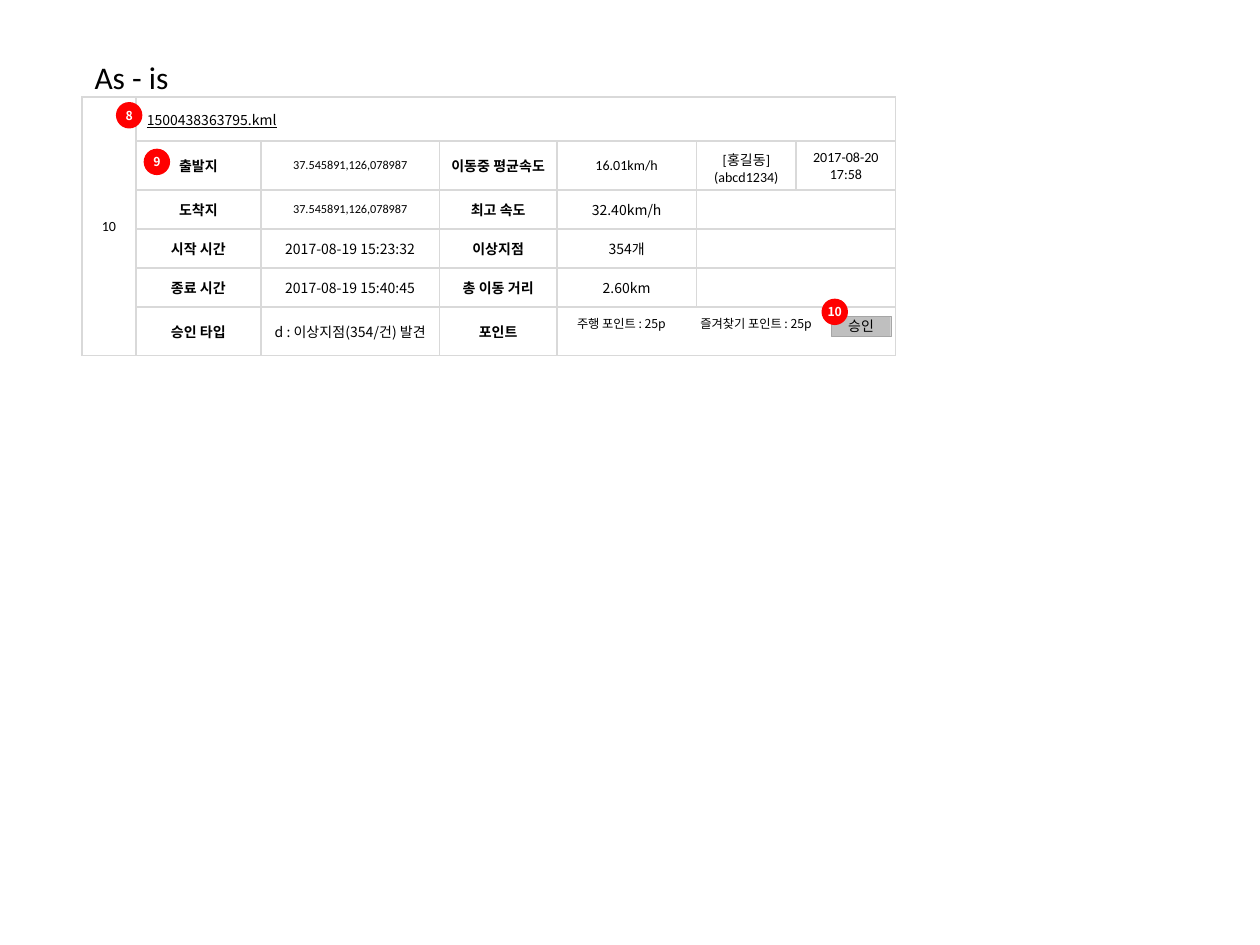
from typing import NamedTuple

from lxml import etree
from pptx import Presentation, util as u
from pptx.dml.color import RGBColor
from pptx.enum import shapes, text
from pptx.oxml import ns

COLORS = {"ink": "000000", "paper": "FFFFFF", "border": "D9D9D9",
          "badge": "FF0000", "button": "BFBFBF", "edge": "A6A6A6"}
SANS, KOREAN = "Calibri", "Noto Sans CJK KR"

# The slide is a grid of 1000 columns by 750 rows.
UNIT = u.Inches(10) // 1000
COLUMNS = [43, 99, 142, 93, 111, 79, 79]
ROWS = [35, 35, 31, 31, 31, 31]
INSET = 6


class Cell(NamedTuple):
    row: int
    col: int
    lines: tuple[str, ...]
    font: str = SANS
    bold: bool = False
    size: float = 8


class Span(NamedTuple):
    row: int
    col: int
    last_row: int
    last_col: int


class Badge(NamedTuple):
    label: str
    left: int
    top: int


class Label(NamedTuple):
    content: str
    left: int
    top: int
    width: int
    height: int


CELLS = [
    Cell(0, 0, ("10",)),
    Cell(1, 1, ("출발지",), bold=True),
    Cell(1, 2, ("37.545891,126,078987",), size=7),
    Cell(1, 3, ("이동중 평균속도",), bold=True),
    Cell(1, 4, ("16.01km/h",)),
    Cell(1, 5, ("[홍길동]", "(abcd1234)")),
    Cell(1, 6, ("2017-08-20", "17:58")),
    Cell(2, 1, ("도착지",), KOREAN, True),
    Cell(2, 2, ("37.545891,126,078987",), size=7),
    Cell(2, 3, ("최고 속도",), bold=True),
    Cell(2, 4, ("32.40km/h",), KOREAN),
    Cell(3, 1, ("시작 시간",), KOREAN, True),
    Cell(3, 2, ("2017-08-19 15:23:32",), KOREAN),
    Cell(3, 3, ("이상지점",), bold=True),
    Cell(3, 4, ("354개",), KOREAN),
    Cell(4, 1, ("종료 시간",), KOREAN, True),
    Cell(4, 2, ("2017-08-19 15:40:45",), KOREAN),
    Cell(4, 3, ("총 이동 거리",), bold=True),
    Cell(4, 4, ("2.60km",), KOREAN),
    Cell(5, 1, ("승인 타입",), KOREAN, True),
    Cell(5, 2, ("d : 이상지점(354/건) 발견",), KOREAN),
    Cell(5, 3, ("포인트",), bold=True),
]
SPANS = [Span(0, 0, 5, 0), Span(0, 1, 0, 6), Span(5, 4, 5, 6),
         *(Span(row, 5, row, 6) for row in (2, 3, 4))]
BADGES = [Badge("8", 92, 81), Badge("9", 114, 118), Badge("10", 652, 237)]
POINTS = [Label(" 주행 포인트 : 25p", 446, 246, 99, 22),
          Label(" 즐겨찾기 포인트 : 25p", 544, 246, 117, 22)]


def grid(*lengths: int) -> list[int]:
    return [length * UNIT for length in lengths]


def color(name: str) -> RGBColor:
    return RGBColor.from_string(COLORS[name])


def add_run(p, content: str, size: float, font: str = SANS,
            ink: str = "ink", bold: bool = False, underline: bool = False) -> None:
    r = p.add_run()
    r.text = content
    r.font.size, r.font.name = u.Pt(size), font
    r.font.bold, r.font.underline = bold, underline
    r.font.color.rgb = color(ink)
    latin = r.font._element.find(ns.qn("a:latin"))
    latin.addnext(etree.Element(ns.qn("a:ea"), typeface=KOREAN))


def add_borders(cell) -> None:
    """Put a thin line on all four sides, ahead of the cell's fill."""
    tcPr = cell._tc.get_or_add_tcPr()
    for i, side in enumerate(("lnL", "lnR", "lnT", "lnB")):
        line = etree.Element(ns.qn(f"a:{side}"), w=str(u.Pt(1)))
        fill = etree.SubElement(line, ns.qn("a:solidFill"))
        etree.SubElement(fill, ns.qn("a:srgbClr"), val=COLORS["border"])
        tcPr.insert(i, line)


def format_cell(cell) -> None:
    cell.fill.solid()
    cell.fill.fore_color.rgb = color("paper")
    cell.margin_left = cell.margin_right = INSET * UNIT
    cell.margin_top = cell.margin_bottom = INSET * UNIT
    cell.vertical_anchor = text.MSO_ANCHOR.MIDDLE
    add_borders(cell)
    p = cell.text_frame.paragraphs[0]
    etree.SubElement(p._p, ns.qn("a:endParaRPr"), sz="800")


def add_trip_table(s) -> None:
    frame = s.shapes.add_table(len(ROWS), len(COLUMNS),
                               *grid(65, 77, sum(COLUMNS), sum(ROWS)))
    table = frame.table
    table.first_row = table.horz_banding = False
    for column, width in zip(table.columns, COLUMNS):
        column.width = width * UNIT
    for row, height in zip(table.rows, ROWS):
        row.height = height * UNIT
    for cell in table.iter_cells():
        format_cell(cell)
    for span in SPANS:
        table.cell(span.row, span.col).merge(table.cell(span.last_row, span.last_col))
    for item in CELLS:
        tf = table.cell(item.row, item.col).text_frame
        for i, line in enumerate(item.lines):
            p = tf.add_paragraph() if i else tf.paragraphs[0]
            p.alignment = text.PP_ALIGN.CENTER
            add_run(p, line, item.size, item.font, bold=item.bold)
    p = table.cell(0, 1).text_frame.paragraphs[0]
    add_run(p, " ", 8, KOREAN)
    add_run(p, "1500438363795.kml", 8, KOREAN, underline=True)


def add_filled(s, kind, box: list[int], fill: str):
    """Add a flat shape with middle-anchored text and return it with its paragraph."""
    sp = s.shapes.add_shape(kind, *box)
    sp.shadow.inherit = False
    sp.fill.solid()
    sp.fill.fore_color.rgb = color(fill)
    sp.line.fill.background()
    tf = sp.text_frame
    tf.word_wrap = False
    tf.vertical_anchor = text.MSO_ANCHOR.MIDDLE
    p = tf.paragraphs[0]
    p.alignment = text.PP_ALIGN.CENTER
    return sp, p


def add_badge(s, badge: Badge) -> None:
    sp, p = add_filled(s, shapes.MSO_SHAPE.OVAL,
                       grid(badge.left, badge.top, 21, 21), "badge")
    tf = sp.text_frame
    tf.margin_left = tf.margin_right = tf.margin_top = tf.margin_bottom = 0
    add_run(p, badge.label, 7, KOREAN, "paper", bold=True)


def add_button(s) -> None:
    sp, p = add_filled(s, shapes.MSO_SHAPE.RECTANGLE, grid(660, 251, 47, 16), "button")
    sp.line.color.rgb = color("edge")
    sp.line.width = u.Pt(0.25)
    add_run(p, "승인", 8)


def add_label(s, label: Label) -> None:
    sp = s.shapes.add_textbox(*grid(*label[1:]))
    tf = sp.text_frame
    tf.word_wrap = False
    tf.auto_size = text.MSO_AUTO_SIZE.SHAPE_TO_FIT_TEXT
    add_run(tf.paragraphs[0], label.content, 7, KOREAN)


def set_title(s) -> None:
    sp = s.shapes.title
    sp.left, sp.top, sp.width, sp.height = grid(65, 41, 79, 40)
    tf = sp.text_frame
    tf.word_wrap = False
    tf.auto_size = text.MSO_AUTO_SIZE.SHAPE_TO_FIT_TEXT
    tf.vertical_anchor = text.MSO_ANCHOR.TOP
    p = tf.paragraphs[0]
    p.alignment = text.PP_ALIGN.LEFT
    add_run(p, "As - is", 18)


def main() -> None:
    prs = Presentation()
    prs.slide_width, prs.slide_height = grid(1000, 750)
    s = prs.slides.add_slide(prs.slide_layouts[5])
    set_title(s)
    add_trip_table(s)
    add_button(s)
    for label in POINTS:
        add_label(s, label)
    for badge in BADGES:
        add_badge(s, badge)
    prs.save("out.pptx")


if __name__ == "__main__":
    main()
